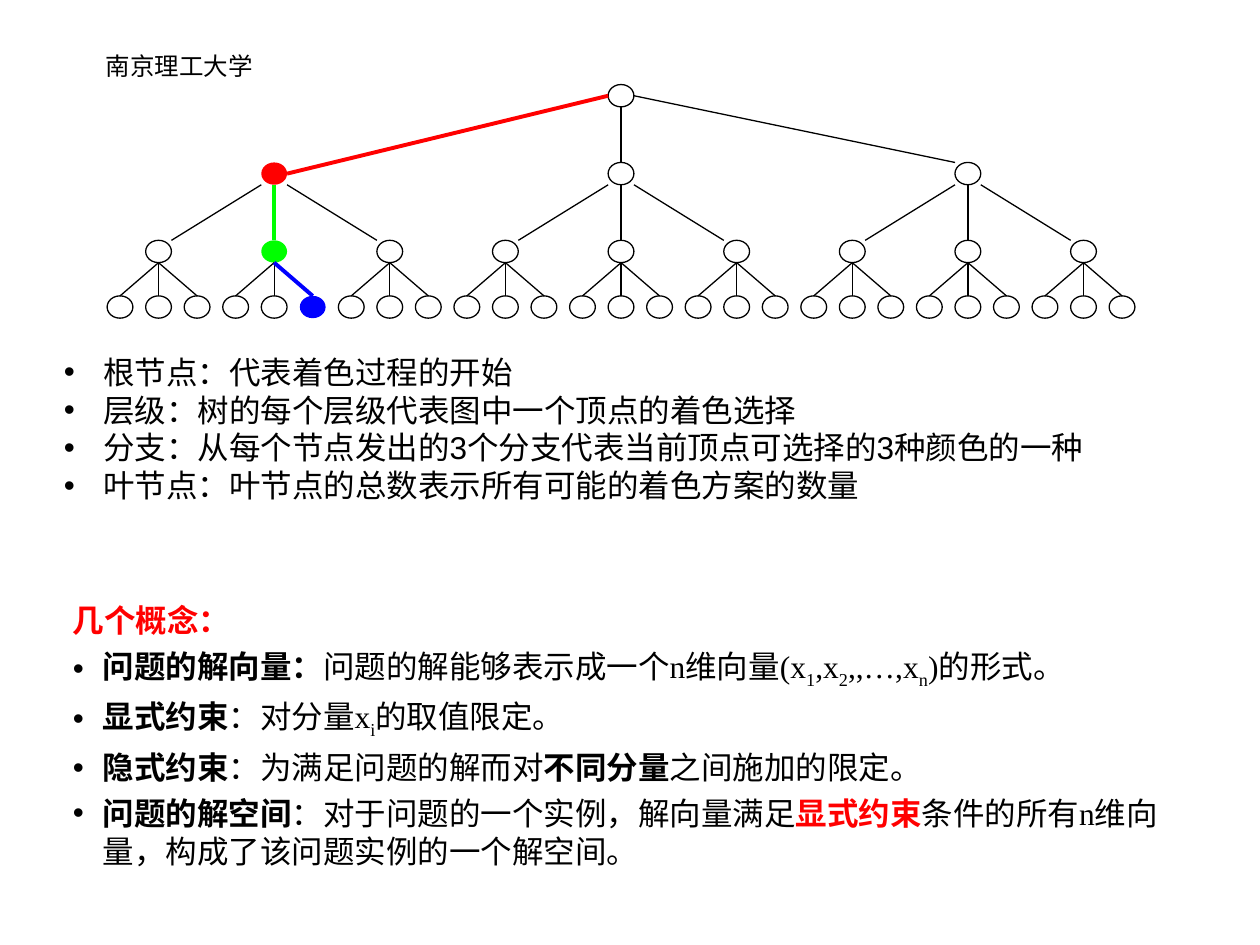
import pptx
import pptx.util
import pptx.dml.color
import pptx.enum.shapes
import pptx.enum.text
import pptx.oxml.ns
from lxml import etree

Cm, Pt = pptx.util.Cm, pptx.util.Pt
RGBColor = pptx.dml.color.RGBColor
qn = pptx.oxml.ns.qn

BLACK = RGBColor(0, 0, 0)
WHITE = RGBColor(255, 255, 255)
RED = RGBColor(255, 0, 0)
GREEN = RGBColor(0, 255, 0)
BLUE = RGBColor(0, 0, 255)

SCHOOL = "南京理工大学"
NOTES = [
    "根节点：代表着色过程的开始",
    "层级：树的每个层级代表图中一个顶点的着色选择",
    "分支：从每个节点发出的3个分支代表当前顶点可选择的3种颜色的一种",
    "叶节点：叶节点的总数表示所有可能的着色方案的数量",
]
# Each run is (text, style): b = bold, r = red, s = subscript
HEAD = [("几个概念：", "br")]
TERMS = [
    [("问题的解向量：", "b"), ("问题的解能够表示成一个n维向量(x", ""), ("1", "s"),
     (",x", ""), ("2", "s"), (",,…,x", ""), ("n", "s"), (")的形式。", "")],
    [("显式约束", "b"), ("：对分量x", ""), ("i", "s"), ("的取值限定。", "")],
    [("隐式约束", "b"), ("：为满足问题的解而对", ""), ("不同分量", "b"),
     ("之间施加的限定。", "")],
    [("问题的解空间", "b"), ("：对于问题的一个实例，解向量满足", ""),
     ("显式约束", "br"), ("条件的所有n维向量，构成了该问题实例的一个解空间。", "")],
]

# Tree: (level, index) of the nodes on the coloured path
PAINT = {(1, 0): RED, (2, 1): GREEN, (3, 5): BLUE}
ROWS = [1.93, 3.5, 5.07, 6.19]
MID, SPAN = 12.52, 20.2
WIDE, HIGH = 0.52, 0.45


def node_x(level, index):
    """Centre of a node, set over the middle one of its leaves."""
    under = 3 ** (3 - level)
    leaf = index * under + under // 2
    return MID + (leaf - 13) * SPAN / 26


def add_node(group, level, index):
    x, y = node_x(level, index), ROWS[level]
    node = group.shapes.add_shape(
        pptx.enum.shapes.MSO_SHAPE.OVAL, Cm(x - WIDE / 2), Cm(y - HIGH / 2),
        Cm(WIDE), Cm(HIGH))
    node.shadow.inherit = False
    paint = PAINT.get((level, index))
    node.fill.solid()
    node.fill.fore_color.rgb = paint or WHITE
    if paint:
        node.line.fill.background()
    else:
        node.line.color.rgb = BLACK
        node.line.width = Pt(0.75)


def add_edge(group, level, index):
    """Line from the parent to the node at this level and index."""
    side = index % 3 - 1
    out = side * WIDE / 2 if level < 3 else 0
    leave, reach = HIGH / 2, -HIGH / 2
    if level == 1 and side:
        leave = 0
        if side < 0:
            reach = 0
    edge = group.shapes.add_connector(
        pptx.enum.shapes.MSO_CONNECTOR.STRAIGHT,
        Cm(node_x(level - 1, index // 3) + out), Cm(ROWS[level - 1] + leave),
        Cm(node_x(level, index) - out), Cm(ROWS[level] + reach))
    paint = PAINT.get((level, index))
    edge.line.color.rgb = paint or BLACK
    edge.line.width = Pt(2.25 if paint else 0.75)
    etree.SubElement(edge._element.spPr, qn("a:effectLst"))


def add_box(slide, left, top, width, height, wrap=True):
    box = slide.shapes.add_textbox(Cm(left), Cm(top), Cm(width), Cm(height))
    box.text_frame.word_wrap = wrap
    return box.text_frame


def add_bullet(para, indent):
    props = para._p.get_or_add_pPr()
    props.set("marL", str(Cm(indent)))
    props.set("indent", str(-Cm(indent)))
    tint = etree.SubElement(props, qn("a:buClr"))
    etree.SubElement(tint, qn("a:srgbClr")).set("val", str(BLACK))
    etree.SubElement(props, qn("a:buFont")).set("typeface", "Arial")
    etree.SubElement(props, qn("a:buChar")).set("char", "•")


def set_font(font, name, size, color=BLACK):
    font.name, font.size = name, Pt(size)
    font.color.rgb = color


def next_para(frame, count):
    return frame.add_paragraph() if count else frame.paragraphs[0]


def main():
    deck = pptx.Presentation()
    deck.slide_width, deck.slide_height = Cm(25.4), Cm(19.05)
    slide = deck.slides.add_slide(deck.slide_layouts[6])

    para = add_box(slide, -0.41, 0.91, 8.05, 1.32).paragraphs[0]
    para.text = SCHOOL
    para.alignment = pptx.enum.text.PP_ALIGN.CENTER
    set_font(para.runs[0].font, "Arial", 14)

    tree = slide.shapes.add_group_shape()
    for level in range(4):
        for index in range(3 ** level):
            add_node(tree, level, index)
            if level:
                add_edge(tree, level, index)

    frame = add_box(slide, 1.04, 6.99, 21.67, 3.3, wrap=False)
    frame.auto_size = pptx.enum.text.MSO_AUTO_SIZE.SHAPE_TO_FIT_TEXT
    for count, note in enumerate(NOTES):
        para = next_para(frame, count)
        para.text = note
        add_bullet(para, 0.79)
        set_font(para.runs[0].font, "Arial", 18)

    frame = add_box(slide, 1.22, 11.99, 22.86, 7)
    for count, parts in enumerate([HEAD] + TERMS):
        para = next_para(frame, count)
        if count:
            para.space_before = Pt(4.5)
            add_bullet(para, 0.6)
        for text, style in parts:
            run = para.add_run()
            run.text = text
            set_font(run.font, "Times New Roman", 18, RED if "r" in style else BLACK)
            run.font.bold = "b" in style
            if "s" in style:
                run._r.get_or_add_rPr().set("baseline", "-25000")

    deck.save("out.pptx")


if __name__ == "__main__":
    main()
